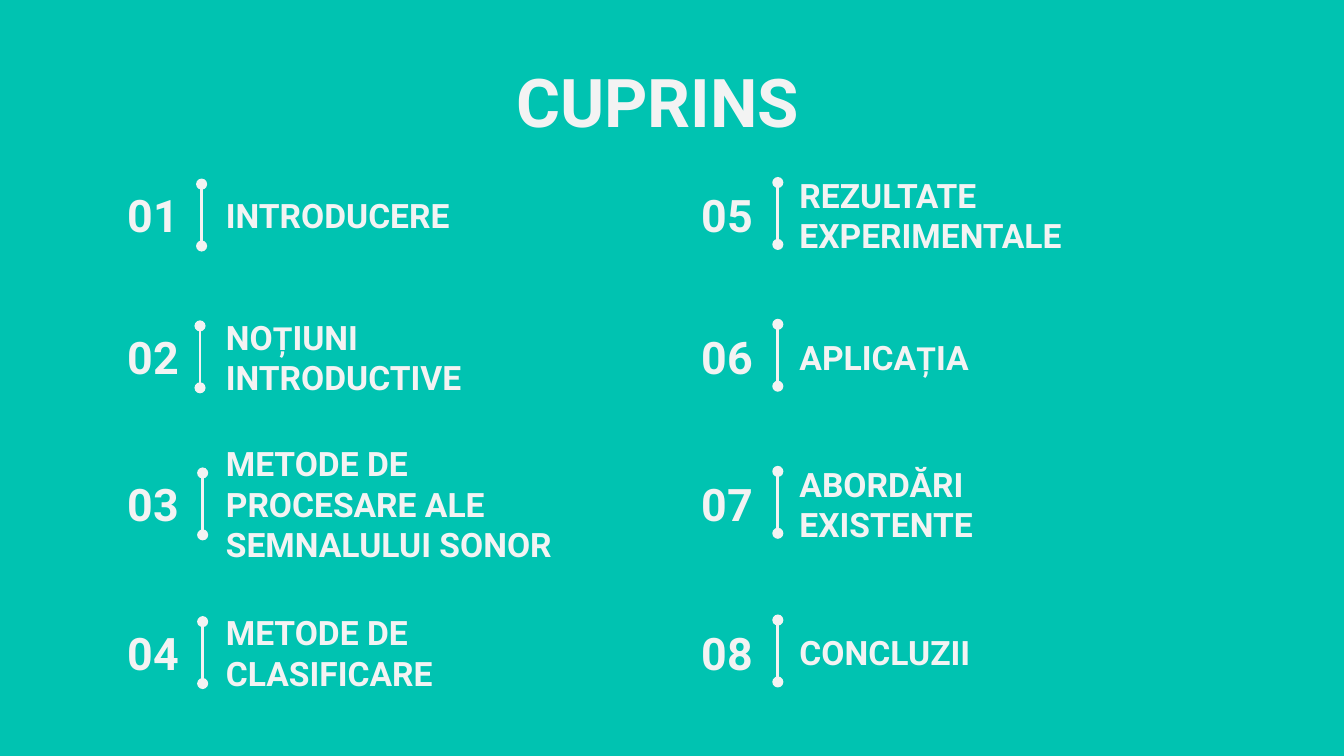
from lxml import etree
from pptx import Presentation
from pptx.dml.color import RGBColor
from pptx.enum.shapes import MSO_CONNECTOR
from pptx.enum.text import MSO_ANCHOR, PP_ALIGN
from pptx.oxml.ns import qn
from pptx.util import Cm, Pt

TEAL = RGBColor(0x00, 0xC3, 0xB1)
WHITE = RGBColor(0xF3, 0xF3, 0xF3)
FONT = "Roboto"
LEFT, CENTER, RIGHT = PP_ALIGN.LEFT, PP_ALIGN.CENTER, PP_ALIGN.RIGHT
MIDDLE = MSO_ANCHOR.MIDDLE
STRAIGHT = MSO_CONNECTOR.STRAIGHT

# Grid in centimetres
ROW_TOPS = (3.48, 6.16, 8.94, 11.75)
ROW_HEIGHT = 1.17
NUMBER_WIDTH = 1.68
LABEL_OFFSET = 2.06
LABEL_WIDTH = 6.91

# Column: left edge, vertical shift of its dividers, entries.
# Entry: divider x, label width, runs of (text, size).
COLUMNS = (
    (1.96, 0, (
        (3.81, 6.5, [("INTRODUCERE", 18)]),
        (3.78, LABEL_WIDTH, [("NO", 18), ("Ț", 17), ("IUNI INTRODUCTIVE", 18)]),
        (3.83, LABEL_WIDTH, [("METODE DE PROCESARE ALE SEMNALULUI SONOR", 18)]),
        (3.83, LABEL_WIDTH, [("METODE DE CLASIFICARE", 18)]),
    )),
    (12.8, -0.03, (
        (14.7, 7.77, [("REZULTATE EXPERIMENTALE", 18)]),
        (14.7, LABEL_WIDTH, [("APLICA", 18), ("Ț", 17), ("IA", 18)]),
        (14.7, LABEL_WIDTH, [("ABORDĂRI EXISTENTE", 18)]),
        (14.7, LABEL_WIDTH, [("CONCLUZII", 18)]),
    )),
)


class AgendaPage:
    """Holds the page and draws its elements in one style."""

    def __init__(self, deck):
        self.page = deck.slides.add_slide(deck.slide_layouts[6])
        fill = self.page.background.fill
        fill.solid()
        fill.fore_color.rgb = TEAL

    def text(self, left, top, width, height, spans, align=LEFT):
        box = self.page.shapes.add_textbox(Cm(left), Cm(top), Cm(width), Cm(height))
        frame = box.text_frame
        frame.word_wrap = True
        frame.vertical_anchor = MIDDLE
        frame.margin_left = frame.margin_right = Cm(0.25)
        frame.margin_top = frame.margin_bottom = Cm(0.25)
        para = frame.paragraphs[0]
        para.alignment = align
        for words, size in spans:
            span = para.add_run()
            span.text = words
            span.font.name = FONT
            span.font.size = Pt(size)
            span.font.bold = True
            span.font.color.rgb = WHITE

    def divider(self, x, top, height):
        line = self.page.shapes.add_connector(
            STRAIGHT, Cm(x), Cm(top), Cm(x), Cm(top + height))
        line.line.color.rgb = WHITE
        line.line.width = Pt(1.5)
        outline = line.line._get_or_add_ln()
        for end in ("a:headEnd", "a:tailEnd"):
            etree.SubElement(outline, qn(end), type="oval")
        etree.SubElement(line._element.spPr, qn("a:effectLst"))


def main():
    deck = Presentation()
    deck.slide_width, deck.slide_height = Cm(25.4), Cm(14.29)
    agenda = AgendaPage(deck)

    # Heading
    agenda.text(8.1, 0.25, 8.66, 3.3, [("CUPRINS", 36)], CENTER)

    # Numbered entries, four in each column
    number = 0
    for left, shift, entries in COLUMNS:
        for top, (divider_x, width, spans) in zip(ROW_TOPS, entries):
            number += 1
            agenda.text(left, top, NUMBER_WIDTH, ROW_HEIGHT,
                        [(f"{number:02d}", 24)], RIGHT)
            agenda.divider(divider_x, top + shift, ROW_HEIGHT)
            agenda.text(left + LABEL_OFFSET, top, width, ROW_HEIGHT, spans)

    deck.save("out.pptx")


if __name__ == "__main__":
    main()
